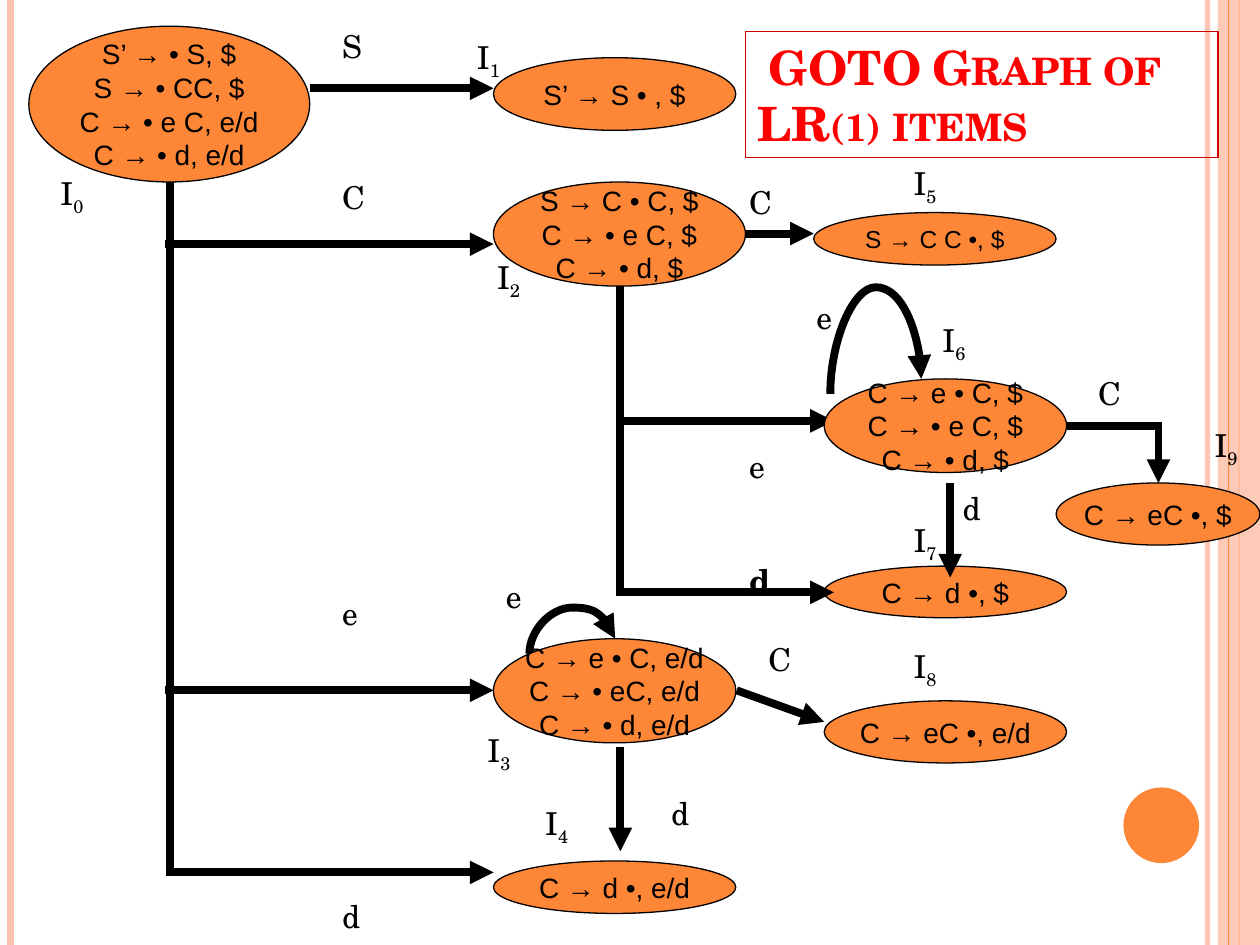
from dataclasses import dataclass
from typing import Optional

from lxml.etree import SubElement
from pptx import Presentation
from pptx.dml.color import RGBColor
from pptx.enum.shapes import MSO_CONNECTOR as Connector, MSO_SHAPE as Shape
from pptx.enum.text import MSO_ANCHOR as Anchor, PP_ALIGN as Align
from pptx.oxml.ns import qn
from pptx.util import Pt

ORANGE, PEACH, BLACK, RED, BORDER = "FE8637", "FEC3AE", "000000", "FF0000", "CC0000"
SERIF, SANS = "TeX Gyre Schola", "Arial"
PAGE_WIDTH, PAGE_HEIGHT, LINE_STEP = 720, 540, 21.6


@dataclass
class State:
    left: float
    top: float
    width: float
    height: float
    items: list[str]
    size: float = 16


@dataclass
class Link:
    x1: float
    y1: float
    x2: float
    y2: float
    preset: str = "line"
    turn: int = 0
    flips: str = ""
    adjust: Optional[float] = None


@dataclass
class Label:
    left: float
    top: float
    text: str
    subscript: str = ""


@dataclass
class Column:
    left: float
    top: float
    height: float
    entries: list[tuple[str, int, bool]]


@dataclass
class Stripe:
    x: float
    weight: float
    color: str
    opacity: Optional[int] = None


STRIPES = [Stripe(690, 3, PEACH, 93), Stripe(6, 4.5, PEACH), Stripe(708, 1.5, ORANGE)]
INNER_STRIPE = Stripe(702, 0.75, ORANGE)

STATES = [
    State(282, 492, 138.5, 30, ["C → d •, e/d"]),
    State(282, 33, 138.5, 41.5, ["S’ → S • , $"]),
    State(282, 104, 144, 59.5, ["S → C • C, $", "C → • e C, $", "C → • d, $"]),
    State(282, 365, 138.5, 59.5, ["C → e • C, e/d", "C → • eC, e/d", "C → • d, e/d"]),
    State(465, 121.5, 138.5, 30, ["S → C C •, $"], 14),
    State(471, 216.5, 138.5, 53.5, ["C → e • C, $", "C → • e C, $", "C → • d, $"]),
    State(471, 323.5, 138.5, 29.5, ["C → d •, $"]),
    State(471, 400.5, 138.5, 35.5, ["C → eC •, e/d"]),
    State(16.5, 15, 160.5, 89, ["S’ → • S, $", "S → • CC, $", "C → • e C, e/d", "C → • d, e/d"]),
    State(603.5, 276, 116.5, 35.5, ["C → eC •, $"]),
]

BACK_LINKS = [
    Link(302.5, 373.6, 351.5, 365, "curvedConnector3", 90, "HV", 3.07),
    Link(354.5, 427, 354.5, 486.5),
    Link(354.5, 240.5, 476.5, 240.5),
    Link(474.5, 225.1, 526.5, 216.5, "curvedConnector3", 270, "", 7.1),
]

FRONT_LINKS = [
    Link(177, 50.5, 282, 50.5),
    Link(97, 104, 282, 394.5, "bentConnector2", 270, "H"),
    Link(94.5, 394.5, 282, 498.5, "bentConnector3", 0, "", 0.015),
    Link(94.5, 139.5, 282, 139.5),
    Link(354.5, 163.5, 476.5, 338.5, "bentConnector2", 270, "H"),
    Link(426.5, 133.5, 465, 133.5),
    Link(609.5, 243.5, 662, 276, "bentConnector2"),
    Link(421, 394.5, 471, 412.5),
    Link(543, 276, 543, 330),
]

LABELS = [
    Label(620.5, 210, "C"), Label(282, 326, "e"), Label(459.5, 166.5, "e"),
    Label(432, 362, "C"), Label(376.5, 450, "d"), Label(543, 276, "d"),
    Label(27.5, 96, "I", "0"), Label(265.5, 18, "I", "1"), Label(277, 144, "I", "2"),
    Label(271.5, 414, "I", "3"), Label(304.5, 456, "I", "4"), Label(515, 90, "I", "5"),
    Label(531.5, 180, "I", "6"), Label(515, 294, "I", "7"), Label(515, 366, "I", "8"),
    Label(687, 240, "I", "9"),
]

COLUMNS = [
    Column(188.5, 12, 526, [("S", 0, False), ("C", 3, False), ("e", 10, False), ("d", 7, False)]),
    Column(421, 101, 266, [("C", 0, False), ("e", 6, False), ("d", 2, True)]),
]


def paint(target, color: str, opacity: Optional[int] = None) -> None:
    target.solid()
    target.fore_color.rgb = RGBColor.from_string(color)
    if opacity is not None:
        shade = target._xPr.find(qn("a:solidFill"))[0]
        SubElement(shade, qn("a:alpha"), val=str(opacity * 1000))


def add_text(para, text: str, *, size: float = 18, font: str = SERIF, color: str = BLACK,
             bold: bool = False, **attributes: str) -> None:
    span = para.add_run()
    span.text = text
    span.font.size, span.font.name, span.font.bold = Pt(size), font, bold
    paint(span.font.fill, color)
    for name, value in attributes.items():
        span._r.get_or_add_rPr().set(name, value)


def add_solid(page, kind, left: float, top: float, width: float, height: float,
              fill: str, opacity: Optional[int] = None):
    solid = page.shapes.add_shape(kind, Pt(left), Pt(top), Pt(width), Pt(height))
    solid.shadow.inherit = False
    paint(solid.fill, fill, opacity)
    solid.line.fill.background()
    return solid


def add_box(page, left: float, top: float, width: float, height: float):
    box = page.shapes.add_textbox(Pt(left), Pt(top), Pt(width), Pt(height))
    box.text_frame.word_wrap = True
    return box


def add_line(page, left: float, top: float, width: float, height: float,
             weight: float, color: str, opacity: Optional[int] = None):
    line = page.shapes.add_connector(
        Connector.STRAIGHT, Pt(left), Pt(top), Pt(left + width), Pt(top + height))
    line.line.width = Pt(weight)
    paint(line.line.fill, color, opacity)
    SubElement(line._element.spPr, qn("a:effectLst"))
    return line


def draw_stripe(page, stripe: Stripe) -> None:
    add_line(page, stripe.x, 0, 0, PAGE_HEIGHT, stripe.weight, stripe.color, stripe.opacity)


def draw_state(page, state: State) -> None:
    oval = add_solid(page, Shape.OVAL, state.left, state.top, state.width, state.height, ORANGE)
    paint(oval.line.fill, BLACK)
    oval.line.width = Pt(0.75)
    frame = oval.text_frame
    frame.word_wrap, frame.vertical_anchor = False, Anchor.MIDDLE
    for index, item in enumerate(state.items):
        para = frame.add_paragraph() if index else frame.paragraphs[0]
        para.alignment = Align.CENTER
        add_text(para, item, size=state.size, font=SANS)


def draw_link(page, link: Link) -> None:
    width, height = abs(link.x2 - link.x1), abs(link.y2 - link.y1)
    center_x, center_y = (link.x1 + link.x2) / 2, (link.y1 + link.y2) / 2
    if link.turn in (90, 270):
        width, height = height, width
    line = add_line(page, center_x - width / 2, center_y - height / 2, width, height, 4.5, BLACK)
    properties = line._element.spPr
    place, shape = properties.find(qn("a:xfrm")), properties.find(qn("a:prstGeom"))
    if link.turn:
        place.set("rot", str(link.turn * 60000))
    for axis in link.flips:
        place.set(f"flip{axis}", "1")
    shape.set("prst", link.preset)
    if link.adjust is not None:
        SubElement(shape.find(qn("a:avLst")), qn("a:gd"), name="adj1",
                   fmla=f"val {round(link.adjust * 100000)}")
    stroke = properties.find(qn("a:ln"))
    SubElement(stroke, qn("a:miter"), lim="800000")
    SubElement(stroke, qn("a:tailEnd"), type="triangle")


def draw_label(page, label: Label) -> None:
    para = add_box(page, label.left, label.top, 33, 29).text_frame.paragraphs[0]
    add_text(para, label.text)
    if label.subscript:
        add_text(para, label.subscript, baseline="-25000")


def draw_column(page, column: Column) -> None:
    frame = add_box(page, column.left, column.top, 66, column.height).text_frame
    for index, (text, gap, bold) in enumerate(column.entries):
        para = frame.add_paragraph() if index else frame.paragraphs[0]
        if gap:
            para.space_before = Pt(gap * LINE_STEP)
        add_text(para, text, bold=bold)


def draw_title(page) -> None:
    box = add_box(page, 426, 18, 270, 72)
    paint(box.line.fill, BORDER)
    box.line.width = Pt(0.75)
    box.text_frame.vertical_anchor = Anchor.BOTTOM
    add_text(box.text_frame.paragraphs[0], " GOTO Graph of LR(1) items",
             size=27, color=RED, bold=True, cap="small")


def main() -> None:
    """Build the slide with the GOTO graph of LR(1) items."""
    deck = Presentation()
    deck.slide_width, deck.slide_height = Pt(PAGE_WIDTH), Pt(PAGE_HEIGHT)
    page = deck.slides.add_slide(deck.slide_layouts[6])
    for stripe in STRIPES:
        draw_stripe(page, stripe)
    add_solid(page, Shape.RECTANGLE, 696, 0, 24, PAGE_HEIGHT, PEACH, 87)
    draw_stripe(page, INNER_STRIPE)
    add_solid(page, Shape.OVAL, 642, 450, 43.2, 43.2, ORANGE)
    for draw, parts in ((draw_link, BACK_LINKS), (draw_state, STATES), (draw_link, FRONT_LINKS),
                        (draw_column, COLUMNS), (draw_label, LABELS)):
        for part in parts:
            draw(page, part)
    draw_title(page)
    deck.save("out.pptx")


if __name__ == "__main__":
    main()
